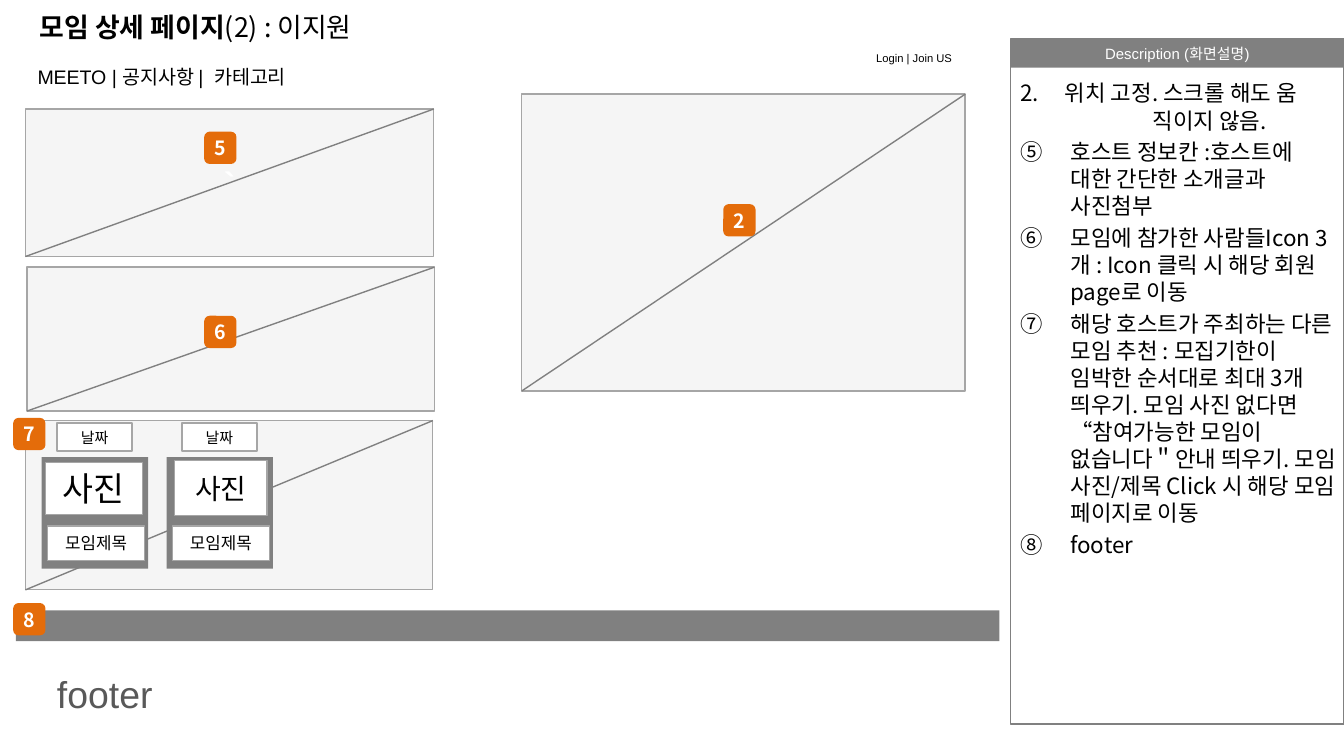
"""Build the wireframe slide for the meeting detail page."""
from lxml import etree
from pptx import Presentation
from pptx.dml.color import RGBColor
from pptx.enum.shapes import MSO_CONNECTOR, MSO_SHAPE
from pptx.enum.text import MSO_ANCHOR, MSO_AUTO_SIZE, PP_ALIGN
from pptx.oxml.ns import qn
from pptx.util import Cm, Pt

RECT, ROUND = MSO_SHAPE.RECTANGLE, MSO_SHAPE.ROUNDED_RECTANGLE
STRAIGHT = MSO_CONNECTOR.STRAIGHT
MIDDLE, TOP = MSO_ANCHOR.MIDDLE, MSO_ANCHOR.TOP
LEFT, CENTER = PP_ALIGN.LEFT, PP_ALIGN.CENTER
NO_FIT, GROW = MSO_AUTO_SIZE.NONE, MSO_AUTO_SIZE.SHAPE_TO_FIT_TEXT

BLACK = RGBColor(0x00, 0x00, 0x00)
WHITE = RGBColor(0xFF, 0xFF, 0xFF)
GRAY = RGBColor(0x80, 0x80, 0x80)
SILVER = RGBColor(0xA6, 0xA6, 0xA6)
PALE = RGBColor(0xF2, 0xF2, 0xF2)
DARK = RGBColor(0x59, 0x59, 0x59)
ORANGE = RGBColor(0xE4, 0x6C, 0x0A)

ARIAL, NOTO = "Arial", "Noto Sans CJK KR"

NOTES = [
    "호스트 정보칸 :호스트에 대한 간단한 소개글과 사진첨부",
    "모임에 참가한 사람들Icon 3개 : Icon 클릭 시 해당 회원 page로 이동",
    "해당 호스트가 주최하는 다른 모임 추천 : 모집기한이 임박한 순서대로 최대 3개 "
    "띄우기. 모임 사진 없다면 “참여가능한 모임이 없습니다＂안내 띄우기. "
    "모임 사진/제목 Click 시 해당 모임 페이지로 이동",
    "footer",
]


class Wireframe:
    def __init__(self, slide):
        self.s = slide

    def font(self, r, size, color=BLACK, name=NOTO, bold=False):
        f = r.font
        f.size, f.bold, f.name = Pt(size), bold, name
        f.color.rgb = color
        ea = etree.SubElement(r._r.get_or_add_rPr(), qn("a:ea"))
        ea.set("typeface", NOTO)

    def frame(self, sp, anchor, insets=(0.25, 0.13, 0.25, 0.13), wrap=True, fit=NO_FIT):
        tf = sp.text_frame
        tf.auto_size, tf.word_wrap, tf.vertical_anchor = fit, wrap, anchor
        (tf.margin_left, tf.margin_top,
         tf.margin_right, tf.margin_bottom) = map(Cm, insets)
        return tf

    def place(self, sp, x, y, w, h):
        sp.left, sp.top, sp.width, sp.height = map(Cm, (x, y, w, h))

    def box(self, x, y, w, h, fill=None, line=None, kind=RECT):
        sp = self.s.shapes.add_shape(kind, Cm(x), Cm(y), Cm(w), Cm(h))
        sp.shadow.inherit = False
        if fill is None:
            sp.fill.background()
        else:
            sp.fill.solid()
            sp.fill.fore_color.rgb = fill
        if line is None:
            sp.line.fill.background()
        else:
            sp.line.color.rgb = line
            sp.line.width = Pt(0.75)
        return sp

    def label(self, sp, text, size, color=BLACK, name=NOTO, bold=False, align=CENTER):
        tf = self.frame(sp, MIDDLE, (0, 0, 0, 0), wrap=False)
        tf.text = text
        p = tf.paragraphs[0]
        p.alignment = align
        self.font(p.runs[0], size, color, name, bold)
        return p

    def panel(self, x, y, w, h):
        sp = self.box(x, y, w, h, PALE, SILVER)
        clr = sp.fill._xPr.find(".//" + qn("a:srgbClr"))
        etree.SubElement(clr, qn("a:alpha")).set("val", "70000")
        ln = self.s.shapes.add_connector(STRAIGHT, Cm(x + w), Cm(y), Cm(x), Cm(y + h))
        ln.line.color.rgb = GRAY
        ln.line.width = Pt(0.75)
        etree.SubElement(ln._element.spPr, qn("a:effectLst"))
        return sp

    def badge(self, number, x, y):
        sp = self.box(x, y, 0.61, 0.61, ORANGE, kind=ROUND)
        self.label(sp, str(number), 10.5, WHITE, bold=True)

    def card(self, x, photo, photo_size):
        self.box(x, 8.64, 2.01, 2.11, GRAY)
        parts = [
            ("사진", photo_size, photo),
            ("모임제목", 9, (x + 0.11, 9.94, 1.83, 0.66)),
            ("날짜", 8, (x + 0.29, 8, 1.42, 0.53)),
        ]
        for text, size, at in parts:
            self.label(self.box(*at, WHITE, SILVER), text, size)

    def text(self, text, size, x, y, w, h):
        sp = self.s.shapes.add_textbox(Cm(x), Cm(y), Cm(w), Cm(h))
        tf = self.frame(sp, TOP, wrap=False, fit=GROW)
        tf.text = text
        self.font(tf.paragraphs[0].runs[0], size, name=ARIAL)

    def title(self, bold_text, plain_text):
        sp = self.s.shapes.title
        self.place(sp, 0.5, 0.1, 15, 0.82)
        p = self.frame(sp, MIDDLE).paragraphs[0]
        p.alignment = LEFT
        for text, bold in ((bold_text, True), (plain_text, False)):
            r = p.add_run()
            r.text = text
            self.font(r, 14.4, bold=bold)

    def item(self, p, text, margin, indent=0.0, number=None, before=2.4):
        p.text = text
        p.alignment = LEFT
        p.line_spacing, p.space_before = Pt(14.5), Pt(before)
        self.font(p.runs[0], 12)
        pPr = p._p.get_or_add_pPr()
        pPr.set("marL", str(Cm(margin)))
        pPr.set("indent", str(Cm(indent)))
        if number is None:
            etree.SubElement(pPr, qn("a:buNone"))
        else:
            bu = etree.SubElement(pPr, qn("a:buAutoNum"))
            bu.set("type", "circleNumDbPlain")
            bu.set("startAt", str(number))

    def description(self, notes):
        sp = self.s.placeholders[1]
        self.place(sp, 19.18, 1.37, 6.12, 12.4)
        tf = self.frame(sp, TOP, (0.1, 0.13, 0, 0.13))
        self.item(tf.paragraphs[0], "2.\t위치 고정. 스크롤 해도 움", 0.84, -0.84)
        self.item(tf.add_paragraph(), "직이지 않음.", 2.5, before=0)
        for note in notes:
            self.item(tf.add_paragraph(), note, 0.95, -0.95, 5)


def main():
    prs = Presentation()
    prs.slide_width, prs.slide_height = Cm(25.4), Cm(14.29)
    wf = Wireframe(prs.slides.add_slide(prs.slide_layouts[1]))

    wf.title("모임 상세 페이지", "(2) : 이지원")
    wf.description(NOTES)
    header = wf.box(19.1, 0.74, 6.3, 0.54, GRAY)
    wf.label(header, "Description (화면설명)", 8, WHITE, ARIAL)
    wf.box(19.1, 0.74, 6.3, 12.95, line=GRAY)

    wf.text("Login | Join US", 6, 16.31, 0.84, 1.98, 0.51)
    wf.text("MEETO | 공지사항 |  카테고리", 10.5, 0.46, 1.09, 5.59, 0.71)

    host = wf.panel(0.48, 2.06, 7.72, 2.79)
    wf.label(host, "`", 18, WHITE, ARIAL, bold=True)
    wf.panel(9.86, 1.78, 8.38, 5.61)
    wf.panel(0.51, 5.05, 7.7, 2.72)
    wf.panel(0.48, 7.95, 7.7, 3.2)

    wf.card(0.79, (0.86, 8.74, 1.83, 0.99), 18)
    wf.card(3.15, (3.3, 8.71, 1.75, 1.04), 15)

    wf.box(0.3, 11.54, 18.59, 0.58, GRAY)
    footer = wf.box(0.79, 12.24, 17.09, 1.3, kind=ROUND)
    footer.adjustments[0] = 0.1
    p = wf.label(footer, "footer", 20, DARK, ARIAL, align=LEFT)
    p.line_spacing = 1.5
    wf.frame(footer, MIDDLE)

    badges = {2: (13.67, 3.86), 5: (3.86, 2.49), 6: (3.86, 5.97),
              7: (0.25, 7.9), 8: (0.25, 11.4)}
    for number, at in badges.items():
        wf.badge(number, *at)

    prs.save("out.pptx")


if __name__ == "__main__":
    main()
